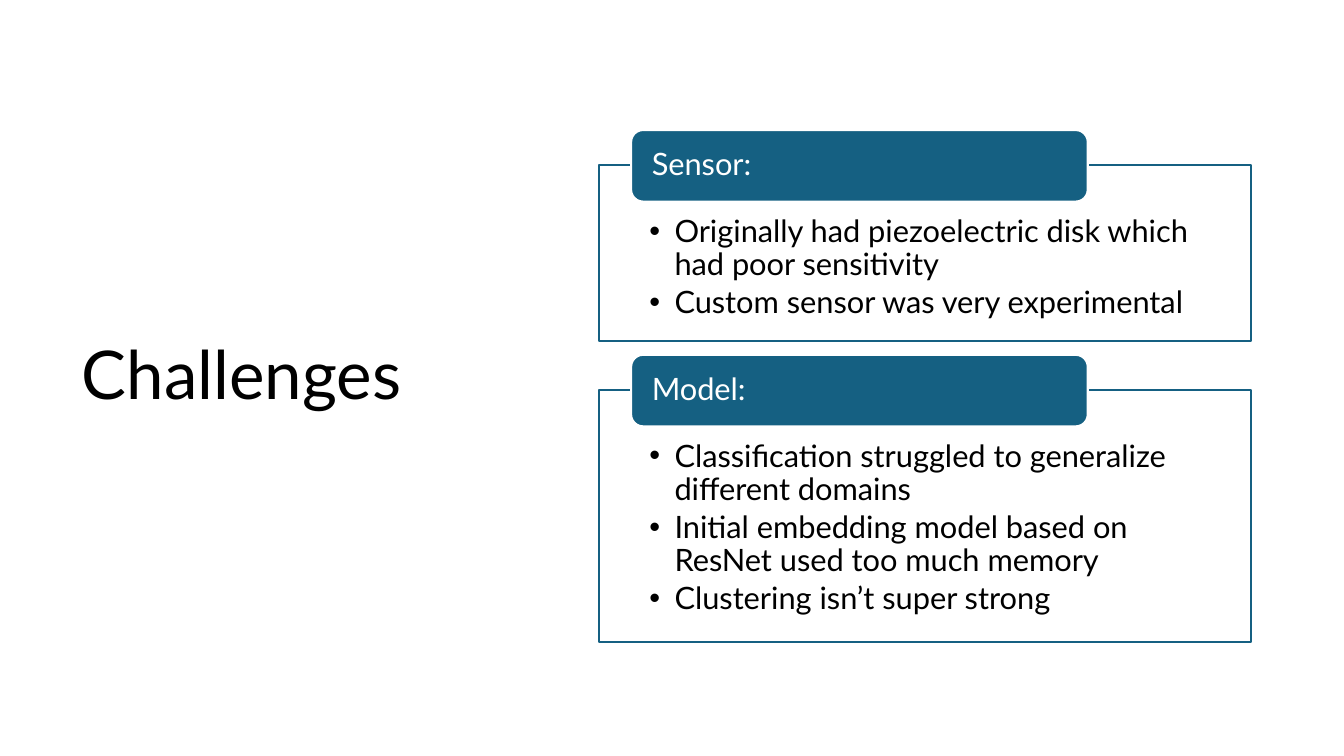
import pptx
import pptx.util
import pptx.dml.color
import pptx.enum.shapes
import pptx.enum.text
import pptx.oxml
import pptx.oxml.ns

Inches = pptx.util.Inches
Pt = pptx.util.Pt
RGBColor = pptx.dml.color.RGBColor
SHAPE = pptx.enum.shapes.MSO_SHAPE
ANCHOR = pptx.enum.text.MSO_ANCHOR
LEFT = pptx.enum.text.PP_ALIGN.LEFT

BLACK = RGBColor(0x00, 0x00, 0x00)
WHITE = RGBColor(0xFF, 0xFF, 0xFF)
TEAL = RGBColor(0x15, 0x60, 0x82)

TITLE_FONT = {"name": "Lato", "size": Pt(48)}
BODY_FONT = {"name": "Lato", "size": Pt(22)}

CHALLENGES = [
    ("Sensor:", 1.74, [
        "Originally had piezoelectric disk which had poor sensitivity",
        "Custom sensor was very experimental",
    ]),
    ("Model:", 2.5, [
        "Classification struggled to generalize different domains",
        "Initial embedding model based on ResNet used too much memory",
        "Clustering isn’t super strong",
    ]),
]


def apply(target, values):
    for attribute, value in values.items():
        setattr(target, attribute, value)


def format_frame(frame, anchor, margins):
    left, top, right, bottom = map(Inches, margins)
    apply(frame, {
        "word_wrap": True, "vertical_anchor": anchor,
        "auto_size": pptx.enum.text.MSO_AUTO_SIZE.NONE,
        "margin_left": left, "margin_top": top,
        "margin_right": right, "margin_bottom": bottom,
    })


def format_paragraph(paragraph, font, color, space_after=0):
    apply(paragraph, {"alignment": LEFT, "line_spacing": 0.9,
                      "space_before": Pt(0), "space_after": Pt(space_after)})
    apply(paragraph.font, font)
    paragraph.font.color.rgb = color


def add_bullet(paragraph):
    properties = paragraph._p.get_or_add_pPr()
    properties.set("marL", str(Inches(0.25)))
    properties.set("indent", str(Inches(-0.25)))
    for tag, attribute, value in (("a:buFont", "typeface", "Arial"),
                                  ("a:buChar", "char", "•")):
        bullet = pptx.oxml.parse_xml(
            f'<{tag} {pptx.oxml.ns.nsdecls("a")} {attribute}="{value}"/>')
        properties.append(bullet)


def add_box(slide, preset, left, top, width, height, fill, line):
    box = slide.shapes.add_shape(preset, *map(Inches, (left, top, width, height)))
    box.shadow.inherit = False
    box.fill.solid()
    box.fill.fore_color.rgb = fill
    box.line.color.rgb = line
    box.line.width = Pt(1.5)
    return box


def build_title(slide, left, top, width, height):
    title = slide.shapes.title
    apply(title, {"left": Inches(left), "top": Inches(top),
                  "width": Inches(width), "height": Inches(height)})
    format_frame(title.text_frame, ANCHOR.MIDDLE, (0.1, 0.05, 0.1, 0.05))
    title.text_frame.text = "Challenges"
    format_paragraph(title.text_frame.paragraphs[0], TITLE_FONT, BLACK)


def build_challenge(slide, left, top, width, height, heading, points):
    panel = add_box(slide, SHAPE.RECTANGLE, left, top, width, height, WHITE, TEAL)
    color = panel._element.spPr.find(".//" + pptx.oxml.ns.qn("a:srgbClr"))
    color.append(pptx.oxml.parse_xml(
        f'<a:alpha {pptx.oxml.ns.nsdecls("a")} val="90000"/>'))
    format_frame(panel.text_frame, ANCHOR.TOP, (0.5, 0.5, 0.5, 0.17))
    panel.text_frame.text = "\n".join(points)
    for point in panel.text_frame.paragraphs:
        add_bullet(point)
        format_paragraph(point, BODY_FONT, BLACK, space_after=3.3)

    tab = add_box(slide, SHAPE.ROUNDED_RECTANGLE, left + 0.32, top - 0.35,
                  width * 0.7, 0.71, TEAL, WHITE)
    format_frame(tab.text_frame, ANCHOR.MIDDLE, (0.17, 0, 0.17, 0))
    tab.text_frame.text = heading
    format_paragraph(tab.text_frame.paragraphs[0], BODY_FONT, WHITE)


def build_challenges(slide, left, top, width, gap):
    for heading, height, points in CHALLENGES:
        build_challenge(slide, left, top, width, height, heading, points)
        top += height + gap


def main():
    deck = pptx.Presentation()
    deck.slide_width = Inches(13.33)
    deck.slide_height = Inches(7.5)
    slide = deck.slides.add_slide(deck.slide_layouts.get_by_name("Title Only"))
    build_title(slide, 0.71, 1.2, 4.15, 5.1)
    build_challenges(slide, 5.94, 1.64, 6.47, 0.49)
    deck.save("out.pptx")


if __name__ == "__main__":
    main()
